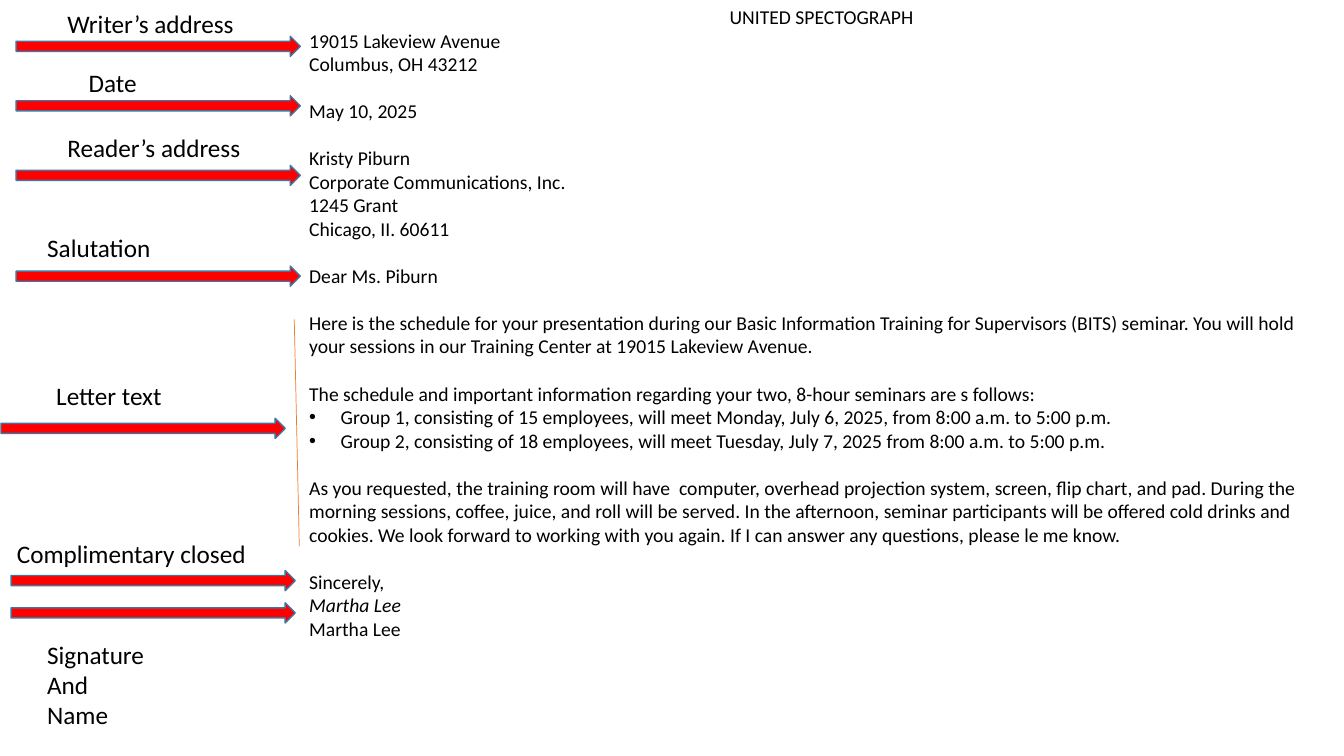
import pptx
import pptx.util
import pptx.dml.color
import pptx.enum.shapes
import pptx.enum.text
import pptx.oxml.ns
import lxml.etree

Pt = pptx.util.Pt
qn = pptx.oxml.ns.qn


def colour(hex_string):
    return pptx.dml.color.RGBColor.from_string(hex_string)


class LetterSlide:
    font = "Calibri"
    ink = "000000"
    label_size = 18
    letter_size = 14
    block_gap = 16.8
    bullet_indent = 22.5

    def __init__(self, slide):
        self.slide = slide

    def frame(self, left, top, width, height):
        box = self.slide.shapes.add_textbox(Pt(left), Pt(top), Pt(width), Pt(height))
        box.text_frame.word_wrap = True
        box.text_frame.auto_size = pptx.enum.text.MSO_AUTO_SIZE.SHAPE_TO_FIT_TEXT
        return box.text_frame

    def line(self, text_frame, text, size, first, italic=False):
        paragraph = text_frame.paragraphs[0] if first else text_frame.add_paragraph()
        run = paragraph.add_run()
        run.text = text
        run.font.name = self.font
        run.font.size = Pt(size)
        run.font.italic = italic
        run.font.color.rgb = colour(self.ink)
        return paragraph

    def bullet(self, paragraph):
        properties = paragraph._p.get_or_add_pPr()
        properties.set("marL", str(Pt(self.bullet_indent)))
        properties.set("indent", str(-Pt(self.bullet_indent)))
        lxml.etree.SubElement(properties, qn("a:buFont")).set("typeface", "Arial")
        lxml.etree.SubElement(properties, qn("a:buChar")).set("char", "•")

    def label(self, left, top, width, lines):
        text_frame = self.frame(left, top, width, 7.2 + 21.6 * len(lines))
        for index, text in enumerate(lines):
            self.line(text_frame, text, self.label_size, index == 0)

    def letter(self, left, top, width, height, heading, blocks):
        text_frame = self.frame(left, top, width, height)
        letterhead = self.line(text_frame, heading, self.letter_size, True)
        letterhead.alignment = pptx.enum.text.PP_ALIGN.CENTER
        for block_index, block in enumerate(blocks):
            for line_index, (text, kind) in enumerate(block):
                paragraph = self.line(
                    text_frame, text, self.letter_size, False, kind == "signature"
                )
                if block_index and line_index == 0:
                    paragraph.space_before = Pt(self.block_gap)
                if kind == "bullet":
                    self.bullet(paragraph)

    def arrow(self, left, top):
        arrow = self.slide.shapes.add_shape(
            pptx.enum.shapes.MSO_SHAPE.RIGHT_ARROW, Pt(left), Pt(top), Pt(203), Pt(14.4)
        )
        arrow.shadow.inherit = False
        arrow.fill.solid()
        arrow.fill.fore_color.rgb = colour("FF0000")
        arrow.line.color.rgb = colour("43739E")
        arrow.line.width = Pt(1)

    def rule(self, x1, y1, x2, y2):
        rule = self.slide.shapes.add_connector(
            pptx.enum.shapes.MSO_CONNECTOR.STRAIGHT, Pt(x1), Pt(y1), Pt(x2), Pt(y2)
        )
        rule.line.color.rgb = colour("ED7D31")
        rule.line.width = Pt(0.5)
        lxml.etree.SubElement(rule._element.spPr, qn("a:effectLst"))


HEADING = "UNITED SPECTOGRAPH"
BLOCKS = [
    [("19015 Lakeview Avenue", "plain"), ("Columbus, OH 43212", "plain")],
    [("May 10, 2025", "plain")],
    [
        ("Kristy Piburn", "plain"),
        ("Corporate Communications, Inc.", "plain"),
        ("1245 Grant", "plain"),
        ("Chicago, II. 60611", "plain"),
    ],
    [("Dear Ms. Piburn", "plain")],
    [
        (
            "Here is the schedule for your presentation during our Basic Information "
            "Training for Supervisors (BITS) seminar. You will hold your sessions in our "
            "Training Center at 19015 Lakeview Avenue.",
            "plain",
        )
    ],
    [
        (
            "The schedule and important information regarding your two, 8-hour seminars "
            "are s follows:",
            "plain",
        ),
        (
            "Group 1, consisting of 15 employees, will meet Monday, July 6, 2025, "
            "from 8:00 a.m. to 5:00 p.m.",
            "bullet",
        ),
        (
            "Group 2, consisting of 18 employees, will meet Tuesday, July 7, 2025 "
            "from 8:00 a.m. to 5:00 p.m.",
            "bullet",
        ),
    ],
    [
        (
            "As you requested, the training room will have  computer, overhead projection "
            "system, screen, flip chart, and pad. During the morning sessions, coffee, "
            "juice, and roll will be served. In the afternoon, seminar participants will "
            "be offered cold drinks and cookies. We look forward to working with you "
            "again. If I can answer any questions, please le me know.",
            "plain",
        )
    ],
    [("Sincerely,", "plain"), ("Martha Lee", "signature"), ("Martha Lee", "plain")],
]
ARROWS = [
    (11.5, 25.9),
    (11.5, 68.4),
    (11.5, 118.1),
    (11.5, 190.1),
    (0.7, 298.8),
    (7.9, 407.5),
    (7.9, 430.6),
]
LABELS = [
    (41, 2.2, 143.3, ["Writer’s address"]),
    (56.2, 44.6, 143.3, ["Date"]),
    (41, 90.7, 157.7, ["Reader’s address"]),
    (26.6, 162.7, 171.4, ["Salutation"]),
    (33.1, 267.8, 151.2, ["Letter text"]),
    (5, 380.9, 194.4, ["Complimentary closed"]),
    (26.6, 452.9, 183.6, ["Signature", "And", "Name"]),
]


def main():
    deck = pptx.Presentation()
    deck.slide_width = Pt(960)
    deck.slide_height = Pt(540)
    page = LetterSlide(deck.slides.add_slide(deck.slide_layouts[6]))
    page.letter(213.8, 0, 746.2, 487.4, HEADING, BLOCKS)
    for left, top in ARROWS:
        page.arrow(left, top)
    page.rule(210.2, 228.2, 213.8, 390.2)
    for left, top, width, lines in LABELS:
        page.label(left, top, width, lines)
    deck.save("out.pptx")


if __name__ == "__main__":
    main()
